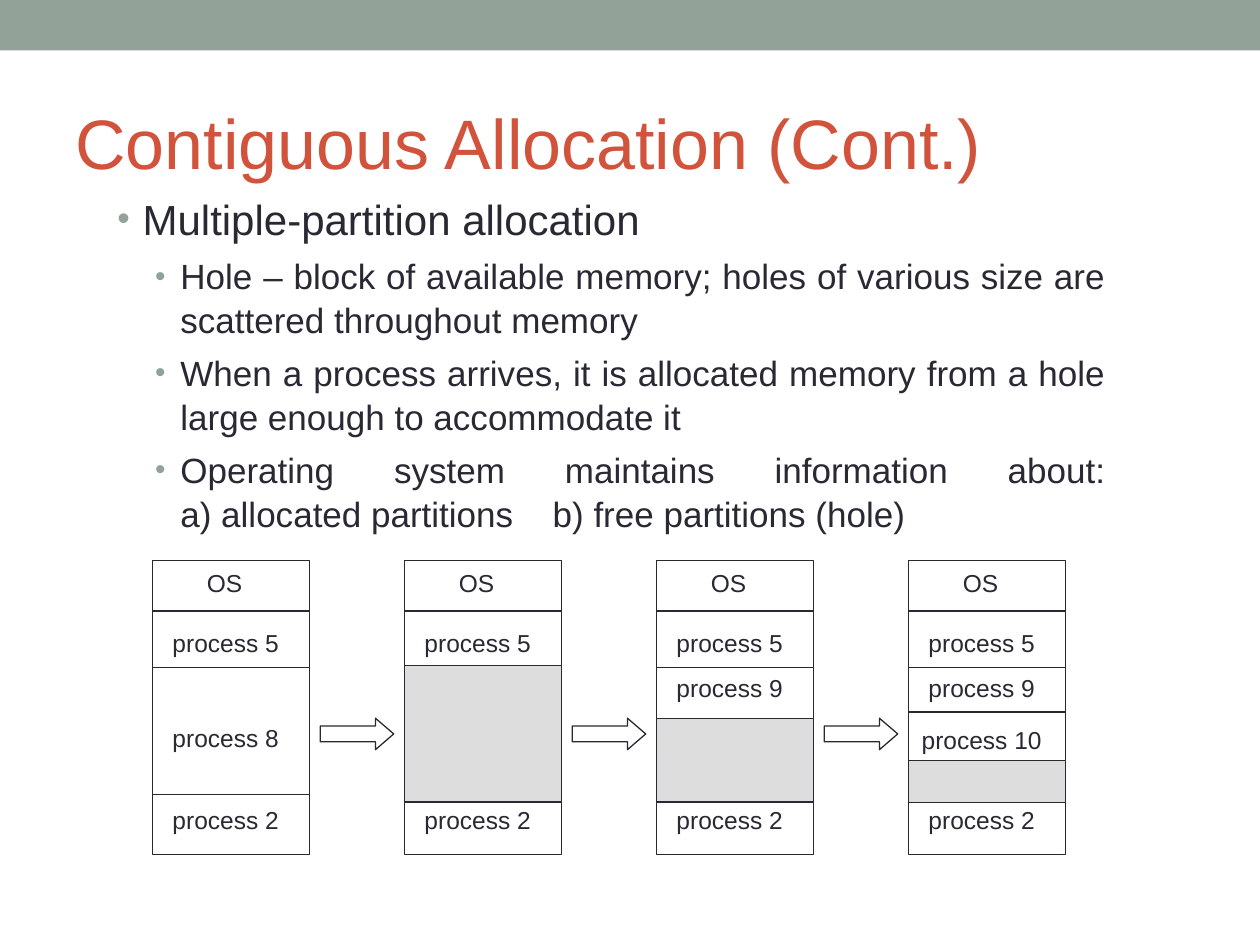
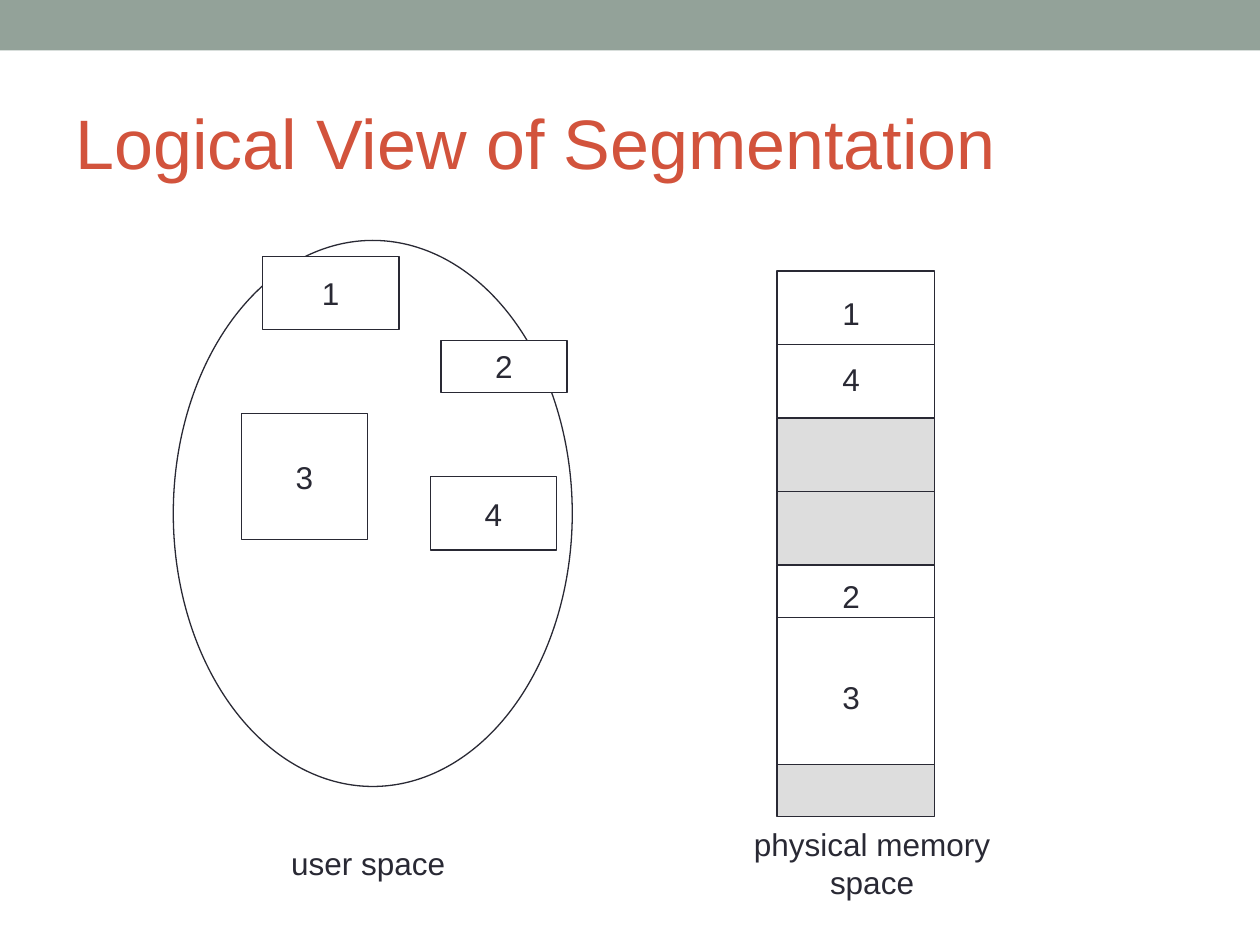
from pptx import Presentation
from pptx.dml.color import RGBColor
from pptx.enum import shapes, text
from pptx.util import Emu, Inches, Pt
from lxml import etree

# Grid: 120 columns by 90 rows over a 10 by 7.5 inch slide
deck = Presentation()
deck.slide_width, deck.slide_height = Inches(10), Inches(7.5)
CELL = deck.slide_width / 120
NS = "{http://schemas.openxmlformats.org/drawingml/2006/main}"
FONT = "Arial"
INK, RED, SAGE, GREY, WHITE = "292934", "D2533C", "93A299", "DDDDDD", "FFFFFF"
FORM, ALIGN = shapes.MSO_SHAPE, text.PP_ALIGN
BOX = FORM.RECTANGLE


def hue(code):
    return RGBColor.from_string(code)


def put(page, kind, at, fill=None, line=INK, words="", size=14):
    """Place a shape, a rule ("rule") or a centred label ("label")."""
    x, y, w, h = [Emu(round(n * CELL)) for n in at]
    if kind == "rule":
        item = page.shapes.add_connector(shapes.MSO_CONNECTOR.STRAIGHT, x, y, x + w, y + h)
        etree.SubElement(item._element.spPr, NS + "effectLst")
    elif kind == "label":
        item = page.shapes.add_textbox(x, y, w, h)
    else:
        item = page.shapes.add_shape(kind, x, y, w, h)
        item.shadow.inherit = False
        item.fill.solid()
        item.fill.fore_color.rgb = hue(fill)
        if not line:
            item.line.fill.background()
    if line and kind != "label":
        item.line.color.rgb = hue(line)
        item.line.width = Pt(0.75)
    if words:
        frame = item.text_frame
        frame.word_wrap = False
        frame.vertical_anchor = text.MSO_ANCHOR.MIDDLE
        para = frame.paragraphs[0]
        para.alignment = ALIGN.CENTER
        run = para.add_run()
        run.text = words
        run.font.name, run.font.size = FONT, Pt(size)
        run.font.color.rgb = hue(INK)
    return item


# Shared band and title
pages = []
for head in ("Contiguous Allocation (Cont.)", "Logical View of Segmentation"):
    page = deck.slides.add_slide(deck.slide_layouts[6])
    put(page, BOX, (0, 0, 120, 4.8), SAGE, None)
    title = put(page, "label", (6, 7, 108, 13), words=head, size=40)
    title.text_frame.word_wrap = True
    para = title.text_frame.paragraphs[0]
    para.alignment = ALIGN.LEFT
    para.runs[0].font.color.rgb = hue(RED)
    pages.append(page)
first, second = pages

# Slide 1: bullets
body = put(first, "label", (10, 17.6, 96.5, 34.2)).text_frame
body.word_wrap = True
points = [
    (0, ["Multiple-partition allocation"]),
    (1, ["Hole – block of available memory; holes of various size are "
         "scattered throughout memory"]),
    (1, ["When a process arrives, it is allocated memory from a hole "
         "large enough to accommodate it"]),
    (1, ["Operating system maintains information about:", "\n",
         "a) allocated partitions", " ", "b) free partitions (hole)"]),
]
for n, (level, parts) in enumerate(points):
    para = body.paragraphs[0] if n == 0 else body.add_paragraph()
    para.level, para.alignment, para.line_spacing = level, ALIGN.JUSTIFY, 1.05
    if n:
        para.space_before = Pt(5)
    props = para._p.get_or_add_pPr()
    props.set("marL", str(Inches((0.2, 0.5)[level])))
    props.set("indent", str(Inches(-0.2)))
    tint = etree.SubElement(props, NS + "buClr")
    etree.SubElement(tint, NS + "srgbClr", val=SAGE)
    etree.SubElement(props, NS + "buSzPct", val="85000")
    etree.SubElement(props, NS + "buFont", typeface=FONT)
    etree.SubElement(props, NS + "buChar", char="•")
    for part in parts:
        if part == "\n":
            para.add_line_break()
            continue
        run = para.add_run()
        run.text = part
        run.font.name, run.font.size = FONT, Pt((24, 20)[level])
        run.font.color.rgb = hue(INK)
        if part == " ":  # widen the gap between the two items
            run._r.get_or_add_rPr().set("spc", "1670")

# Slide 1: four memory states; each has labels, a hole and extra rules
TOP, WIDE = 53.4, 15
states = [
    ([("process 8", 68.2)], None, []),
    ([], (63.4, 13), []),
    ([("process 9", 63.4)], (68.4, 8), []),
    ([("process 9", 63.4), ("process 10", 68.4)], (72.4, 4), [67.8]),
]
for n, (extra, hole, cuts) in enumerate(states):
    x = 14.5 + 24 * n
    put(first, BOX, (x, TOP, WIDE, 28), WHITE)
    for y in [58.2, 63.6, 75.7] + cuts:
        put(first, "rule", (x, y, WIDE, 0))
    if hole:
        put(first, BOX, (x, hole[0], WIDE, hole[1]), GREY)
    put(first, "label", (x + 4, TOP, 5.8, 4.1), words="OS")
    for name, y in [("process 5", 59.2), ("process 2", 76)] + extra:
        put(first, "label", (x, y, 14, 4.1), words=name)
    if n < len(states) - 1:
        arrow = put(first, FORM.RIGHT_ARROW, (x + 16, 68.4, 7, 3), WHITE)
        arrow.adjustments[1] = 0.58

# Slide 2: user space
put(second, FORM.OVAL, (16.5, 22.9, 38, 52), WHITE)
for name, at in [("1", (25, 24.4, 13, 7)), ("3", (23, 39.4, 12, 12)),
                 ("2", (42, 32.4, 12, 5)), ("4", (41, 45.4, 12, 7))]:
    put(second, BOX, at, WHITE, words=name, size=18)

# Slide 2: physical memory, stacked blocks with an inner rule
y = 25.8
for tall, fill, cut in [(14, WHITE, 7), (14, GREY, 7), (19, WHITE, 5), (5, GREY, 0)]:
    put(second, BOX, (74, y, WIDE, tall), fill)
    if cut:
        put(second, "rule", (74, y + cut, WIDE, 0))
    y += tall
for name, y in [("1", 27.4), ("4", 33.7), ("2", 54.4), ("3", 64)]:
    put(second, "label", (79, y, 4.1, 4.8), words=name, size=18)

# Slide 2: captions
for name, x, w in [("user space", 26.1, 17.9), ("physical memory space", 66.2, 33.7)]:
    put(second, "label", (x, 79.8, w, 4.8), words=name, size=18)

deck.save("out.pptx")
